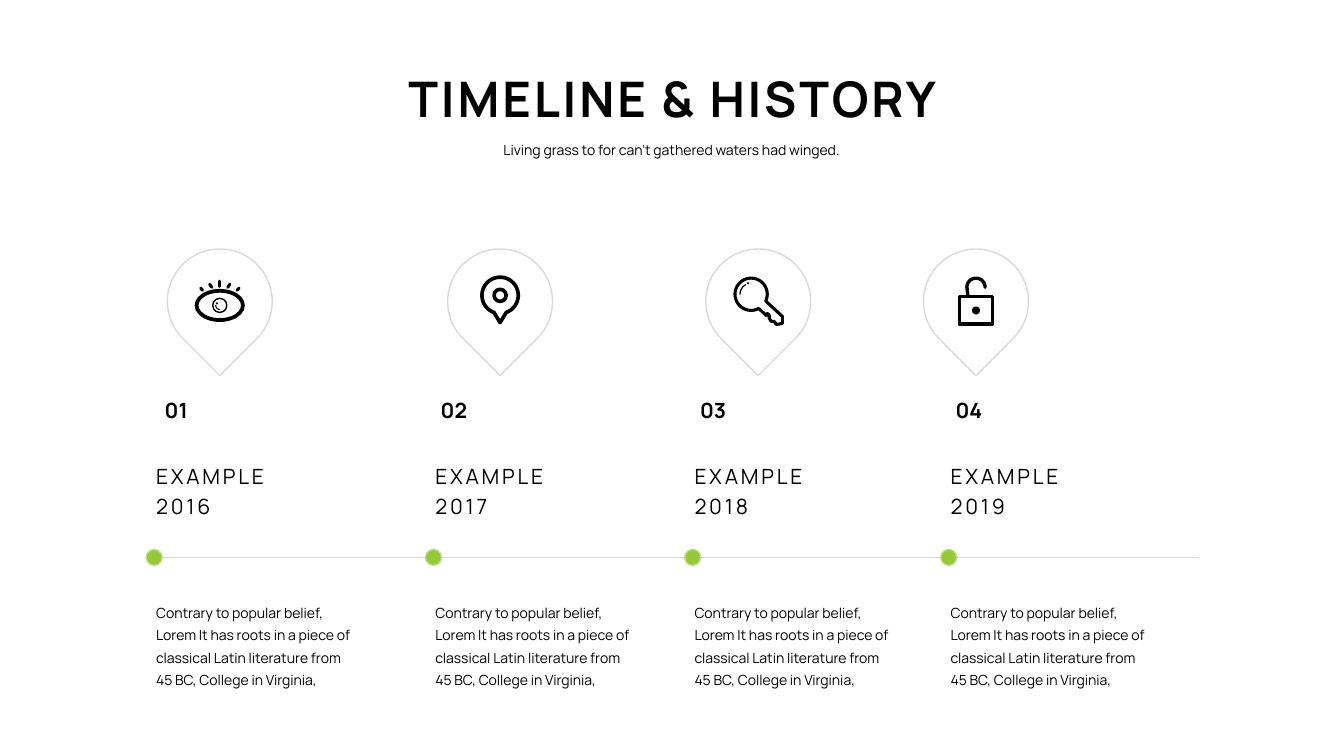
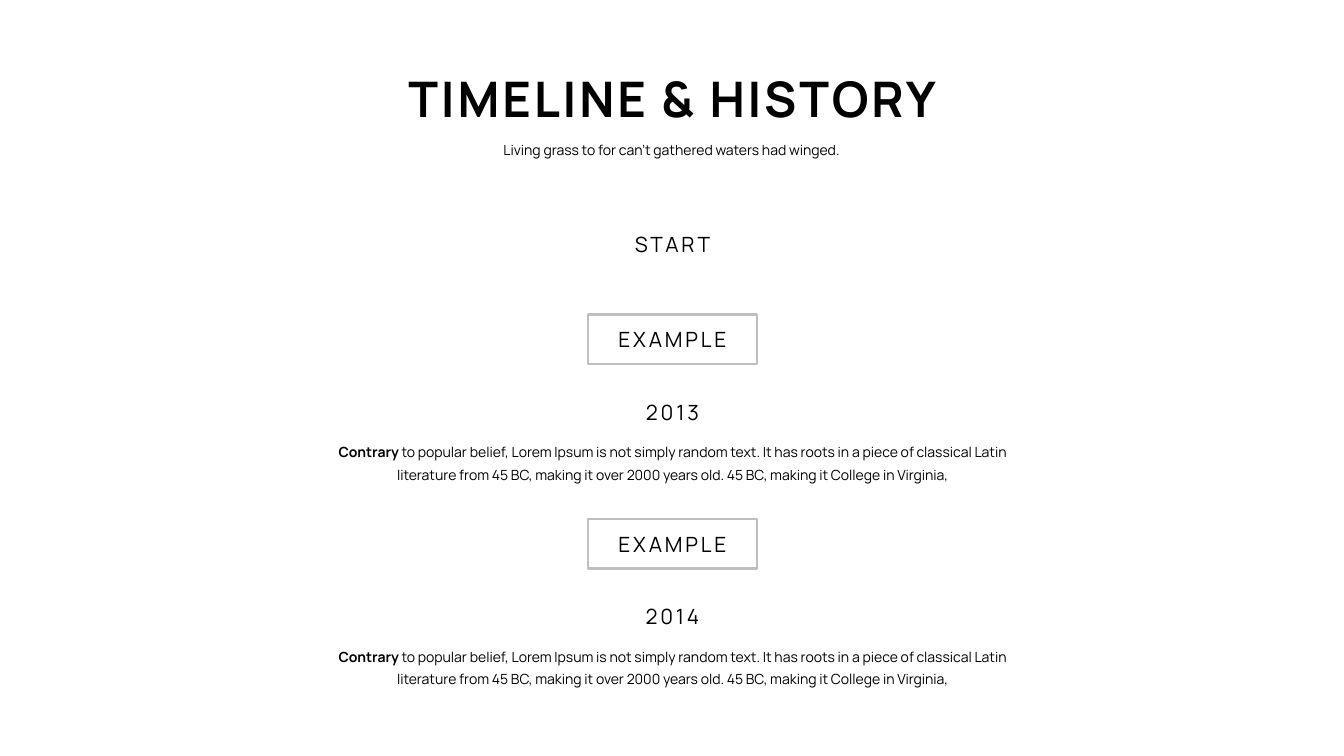
import math
from dataclasses import dataclass

import pptx
import pptx.dml.color
import pptx.enum.shapes
import pptx.enum.text
import pptx.oxml.ns
import pptx.oxml.xmlchemy
import pptx.util

Inches = pptx.util.Inches
Pt = pptx.util.Pt
SHAPE = pptx.enum.shapes.MSO_SHAPE
ALIGN = pptx.enum.text.PP_ALIGN
ANCHOR = pptx.enum.text.MSO_ANCHOR


@dataclass(frozen=True)
class Theme:
    font: str = "Manrope"
    ink: str = "000000"
    green: str = "96C83C"
    green_edge: str = "C0DE8A"
    hairline: str = "D9D9D9"
    frame: str = "BFBFBF"
    title: int = 35
    label: int = 15
    body: int = 10
    tracking: int = 2


theme = Theme()


def add_text(page, place, paras, size, align=ALIGN.CENTER, anchor=ANCHOR.TOP,
             tracking=0, leading=None):
    """Each paragraph is a list of (text, bold) spans."""
    box = page.shapes.add_textbox(*map(Inches, place))
    frame = box.text_frame
    frame.word_wrap = True
    frame.auto_size = pptx.enum.text.MSO_AUTO_SIZE.SHAPE_TO_FIT_TEXT
    frame.vertical_anchor = anchor
    for index, spans in enumerate(paras):
        para = frame.add_paragraph() if index else frame.paragraphs[0]
        para.alignment = align
        if leading:
            para.line_spacing = Pt(leading)
        for text, bold in spans:
            span = para.add_run()
            span.text = text
            span.font.name = theme.font
            span.font.size = Pt(size)
            span.font.bold = bold
            span.font.color.rgb = pptx.dml.color.RGBColor.from_string(theme.ink)
            if tracking:
                span.font._element.set("spc", str(tracking * 100))


def paint(shape, line=None, width=1, fill=None, round_cap=False):
    """Set outline and fill, and drop the shadow."""
    if hasattr(shape, "fill"):
        shape.shadow.inherit = False
        if fill:
            shape.fill.solid()
            shape.fill.fore_color.rgb = pptx.dml.color.RGBColor.from_string(fill)
        else:
            shape.fill.background()
    else:
        shape._element.spPr.append(pptx.oxml.xmlchemy.OxmlElement("a:effectLst"))
    if line:
        shape.line.color.rgb = pptx.dml.color.RGBColor.from_string(line)
        shape.line.width = Pt(width)
        if round_cap:
            shape._element.spPr.find(pptx.oxml.ns.qn("a:ln")).set("cap", "rnd")
    else:
        shape.line.fill.background()


deck = pptx.Presentation()
deck.slide_width = Inches(13.33)
deck.slide_height = Inches(7.5)

# Shared heading on both slides
pages = [deck.slides.add_slide(deck.slide_layouts[6]) for _ in range(2)]
for page in pages:
    add_text(page, (3.25, 0.63, 6.84, 0.69), [[("TIMELINE & HISTORY", True)]],
             theme.title, anchor=ANCHOR.MIDDLE, tracking=theme.tracking)
    add_text(page, (4.36, 1.35, 4.6, 0.27),
             [[("Living grass to for can't gathered waters had winged.", False)]],
             theme.body)
horizontal, vertical = pages

# Slide 1: axis and four milestones
axis = horizontal.shapes.add_connector(
    pptx.enum.shapes.MSO_CONNECTOR.STRAIGHT,
    Inches(1.45), Inches(5.53), Inches(11.89), Inches(5.53))
paint(axis, theme.hairline)

summary = ("Contrary to popular belief, Lorem It has roots in a piece of classical "
           "Latin literature from 45 BC, College in Virginia,")
milestones = [(1.45, 1.66), (4.22, 4.44), (6.79, 7.0), (9.33, 9.16)]
for index, (left, drop_left) in enumerate(milestones):
    drop = horizontal.shapes.add_shape(
        SHAPE.TEAR, Inches(drop_left), Inches(2.47), Inches(1.04), Inches(1.04))
    drop.rotation = 135
    paint(drop, theme.hairline)
    dot = horizontal.shapes.add_shape(
        SHAPE.OVAL, Inches(left), Inches(5.45), Inches(0.16), Inches(0.16))
    paint(dot, theme.green_edge, fill=theme.green)
    add_text(horizontal, (left, 3.89, 0.51, 0.35), [[(f"{index + 1:02}", True)]],
             theme.label, ALIGN.RIGHT, ANCHOR.MIDDLE)
    add_text(horizontal, (left, 4.49, 1.54, 0.7),
             [[("EXAMPLE", False)], [(str(2016 + index), False)]],
             theme.label, ALIGN.LEFT, tracking=theme.tracking, leading=22)
    add_text(horizontal, (left, 5.89, 2.13, 0.98), [[(summary, False)]],
             theme.body, ALIGN.LEFT, leading=16)

# Icon parts: preset, centre x, centre y, width, height, line width (0 = solid)
icon_parts = [
    (SHAPE.OVAL, 2.18, 3.03, 0.46, 0.29, 2.7),       # eye
    (SHAPE.OVAL, 2.18, 3.03, 0.14, 0.14, 1),
    (SHAPE.OVAL, 2.15, 3.01, 0.02, 0.02, 0),
    (SHAPE.OVAL, 4.96, 2.93, 0.12, 0.12, 2.6),       # map pin
    (SHAPE.OVAL, 7.42, 2.81, 0.02, 0.02, 0),         # key
    (SHAPE.RECTANGLE, 9.68, 3.08, 0.33, 0.27, 2.4),  # padlock
    (SHAPE.OVAL, 9.68, 3.08, 0.08, 0.08, 0),
]
for preset, x, y, width, height, weight in icon_parts:
    part = horizontal.shapes.add_shape(
        preset, Inches(x - width / 2), Inches(y - height / 2),
        Inches(width), Inches(height))
    if weight:
        paint(part, theme.ink, weight)
    else:
        paint(part, fill=theme.ink)

# Eye lashes
for x1, y1, x2, y2 in [(1.99, 2.86, 2.01, 2.88), (2.08, 2.82, 2.1, 2.85),
                       (2.18, 2.79, 2.18, 2.84), (2.28, 2.82, 2.26, 2.85),
                       (2.37, 2.86, 2.35, 2.88)]:
    lash = horizontal.shapes.add_connector(
        pptx.enum.shapes.MSO_CONNECTOR.STRAIGHT,
        Inches(x1), Inches(y1), Inches(x2), Inches(y2))
    paint(lash, theme.ink, 2.2, round_cap=True)

# Icon strokes: centre, radius, first and last degree, line width, points
# before and after the arc, closed
key_bit = [(7.76, 3.14), (7.76, 3.21), (7.7, 3.22), (7.68, 3.19), (7.65, 3.19),
           (7.63, 3.16), (7.63, 3.13), (7.61, 3.11), (7.6, 3.13)]
icon_strokes = [
    (2.18, 3.03, 0.04, 90, 180, 0.75, [], [], False),                # eye glint
    (4.96, 2.93, 0.18, 110, 430, 2.6, [], [(4.96, 3.2)], True),      # map pin
    (7.45, 2.92, 0.16, 62, 385, 2.2, [], key_bit, True),             # key
    (7.45, 2.92, 0.11, 180, 240, 0.9, [], [], False),                # key glint
    (9.68, 2.85, 0.09, 180, 360, 2.4, [(9.6, 2.94)], [], False),     # shackle
]
for x, y, radius, first, last, weight, before, after, closed in icon_strokes:
    angles = [math.radians(first + (last - first) * step / 48) for step in range(49)]
    arc = [(x + radius * math.cos(angle), y + radius * math.sin(angle))
           for angle in angles]
    points = [(Inches(px), Inches(py)) for px, py in before + arc + after]
    builder = horizontal.shapes.build_freeform(*points[0])
    builder.add_line_segments(points[1:], close=closed)
    paint(builder.convert_to_shape(), theme.ink, weight, round_cap=True)

# Slide 2: start label and two framed entries
add_text(vertical, (5.9, 2.25, 1.54, 0.35), [[("START", False)]],
         theme.label, tracking=theme.tracking)
story = (" to popular belief, Lorem Ipsum is not simply random text. It has roots in a "
         "piece of classical Latin literature from 45 BC, making it over 2000 years old. "
         "45 BC, making it College in Virginia,")
for top, year in [(3.12, "2013"), (5.15, "2014")]:
    border = vertical.shapes.add_shape(
        SHAPE.RECTANGLE, Inches(5.83), Inches(top), Inches(1.68), Inches(0.49))
    paint(border, theme.frame, 1.5)
    for offset, label in [(0.07, "EXAMPLE"), (0.79, year)]:
        add_text(vertical, (5.9, top + offset, 1.54, 0.35), [[(label, False)]],
                 theme.label, tracking=theme.tracking)
    add_text(vertical, (3.11, top + 1.18, 7.12, 0.53),
             [[("Contrary", True), (story, False)]], theme.body, leading=16)

deck.save("out.pptx")
